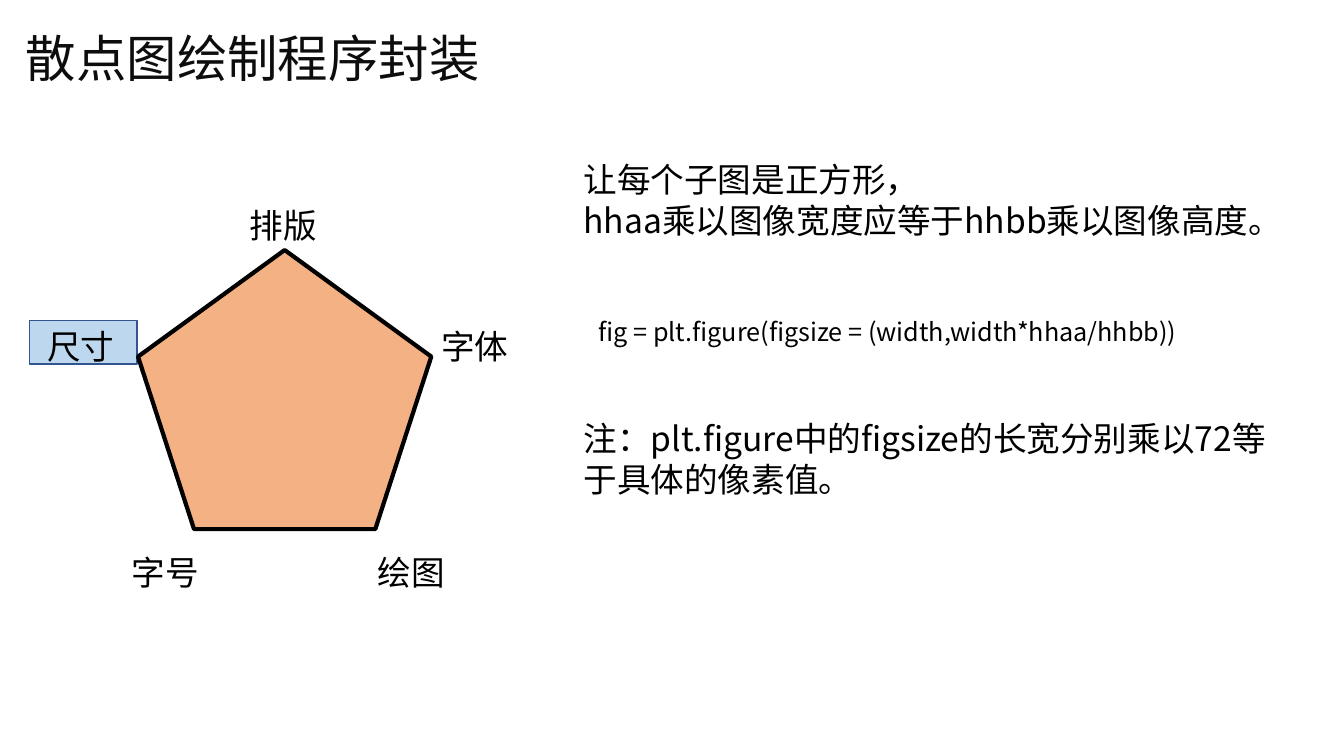
import pptx
import pptx.util
import pptx.dml.color
import pptx.enum.shapes
import pptx.enum.text
import pptx.oxml
import pptx.oxml.ns

Pt = pptx.util.Pt
RGB = pptx.dml.color.RGBColor
SHAPE = pptx.enum.shapes.MSO_SHAPE

BLACK = RGB(0x00, 0x00, 0x00)
TITLE_INK = RGB(0x0D, 0x0D, 0x0D)
ORANGE = RGB(0xF4, 0xB1, 0x83)
PALE_BLUE = RGB(0xBD, 0xD7, 0xEE)
EDGE_BLUE = RGB(0x32, 0x54, 0x91)

SANS = "Noto Sans CJK SC"
SERIF = "Times New Roman"

# Boxes are left, top, width, height in points.
title = ("散点图绘制程序封装", (11.5, 15.8, 529, 51))
highlight = (SHAPE.RECTANGLE, (20.9, 229, 77, 31), PALE_BLUE, EDGE_BLUE, 1)
pentagon = (SHAPE.REGULAR_PENTAGON, (98.6, 178.6, 209.5, 199.4), ORANGE, BLACK, 3)

SIDE_TOP, BASE_TOP = 229, 391
LABEL_WIDTH, LABEL_HEIGHT = 113, 36
corner_labels = [
    ("排版", 171.4, 142.6),
    ("尺寸", 26.6, SIDE_TOP),
    ("字体", 308.2, SIDE_TOP),
    ("字号", 87.1, BASE_TOP),
    ("绘图", 262.8, BASE_TOP),
]

NOTE_LEFT, NOTE_WIDTH, NOTE_HEIGHT = 409.7, 510.5, 65.5
notes = [
    ("让每个子图是正方形，\nhhaa乘以图像宽度应等于hhbb乘以图像高度。", 110.2),
    ("注：plt.figure中的figsize的长宽分别乘以72等于具体的像素值。", 295.2),
]
code = ("fig = plt.figure(figsize = (width,width*hhaa/hhbb))", (420.5, 222.5, 481.7, 29))

deck = pptx.Presentation()
deck.slide_width, deck.slide_height = Pt(960), Pt(540)
slide = deck.slides.add_slide(deck.slide_layouts[6])


def add_outlined(kind, box, fill, edge, weight):
    outline = slide.shapes.add_shape(kind, *map(Pt, box))
    outline.shadow.inherit = False
    outline.fill.solid()
    outline.fill.fore_color.rgb = fill
    outline.line.color.rgb = edge
    outline.line.width = Pt(weight)


def add_words(words, box, size=24, font=SANS, color=BLACK):
    """Add a text box with one paragraph per line, Chinese always in the sans font."""
    frame = slide.shapes.add_textbox(*map(Pt, box)).text_frame
    frame.word_wrap = True
    frame.auto_size = pptx.enum.text.MSO_AUTO_SIZE.SHAPE_TO_FIT_TEXT
    frame.text = words
    for paragraph in frame.paragraphs:
        for run in paragraph.runs:
            for key, value in {"size": Pt(size), "name": font}.items():
                setattr(run.font, key, value)
            run.font.color.rgb = color
            east_asian = pptx.oxml.parse_xml(
                f'<a:ea {pptx.oxml.ns.nsdecls("a")} typeface="{SANS}"/>')
            run.font._element.find(pptx.oxml.ns.qn("a:latin")).addnext(east_asian)


add_outlined(*highlight)
add_words(*title, size=36, font=SERIF, color=TITLE_INK)
add_outlined(*pentagon)
for label, left, top in corner_labels:
    add_words(label, (left, top, LABEL_WIDTH, LABEL_HEIGHT))
for note, top in notes:
    add_words(note, (NOTE_LEFT, top, NOTE_WIDTH, NOTE_HEIGHT))
add_words(*code, size=18)

deck.save("out.pptx")
